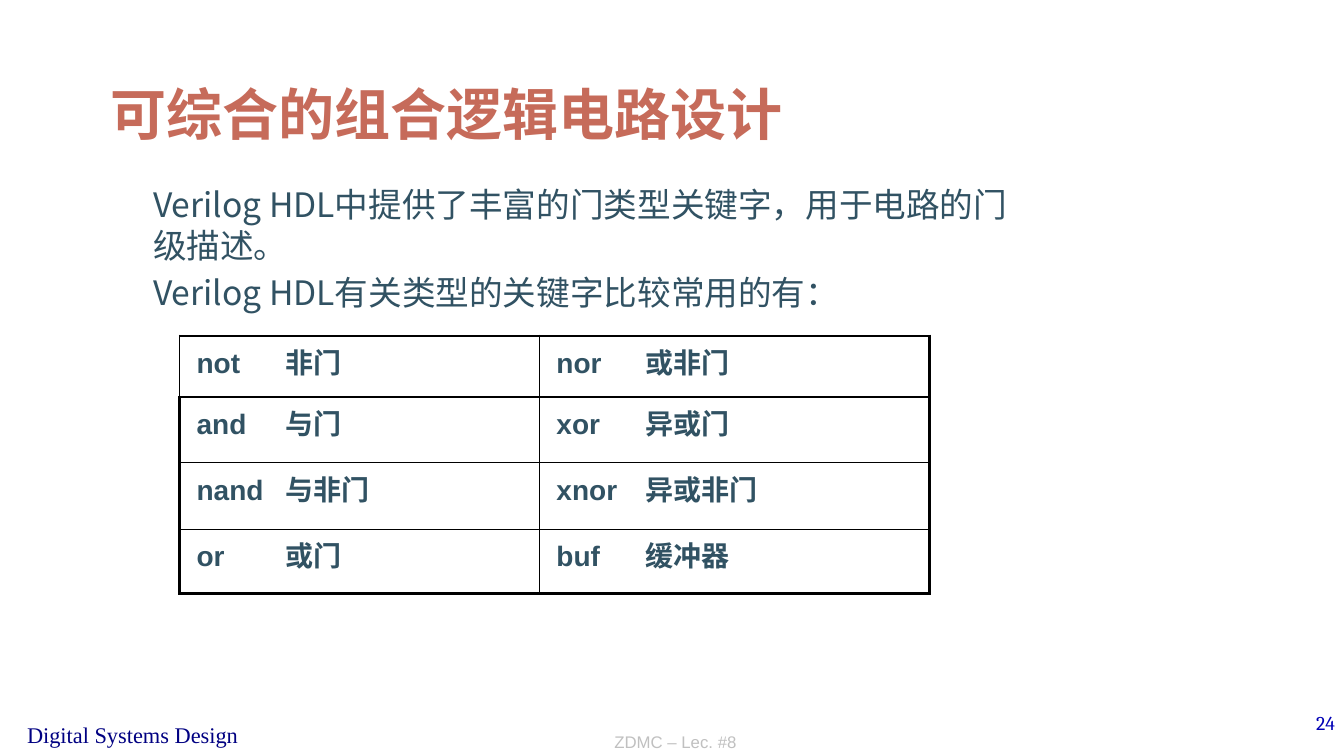
from dataclasses import dataclass

from lxml.etree import SubElement
from pptx import Presentation
from pptx.dml.color import RGBColor
from pptx.enum.text import MSO_ANCHOR, PP_ALIGN
from pptx.oxml import parse_xml
from pptx.oxml.ns import nsdecls, qn
from pptx.util import Inches, Pt

COLORS = {"title": "C66B5A", "body": "315263", "course": "000082",
          "number": "0000B6", "lecture": "C0C0C0", "border": "000000"}
CJK_FONT = "Noto Sans CJK SC"
THIN, MEDIUM, THICK = 1, 1.5, 2.25


@dataclass(frozen=True)
class Style:
    font: str
    size: float
    color: str
    bold: bool = False


@dataclass(frozen=True)
class TextBlock:
    left: float
    top: float
    width: float
    height: float
    lines: tuple[str, ...]
    style: Style
    align: PP_ALIGN = PP_ALIGN.LEFT
    anchor: MSO_ANCHOR = MSO_ANCHOR.TOP
    wrap: bool = True
    indent: float = 0
    space_before: float = 0


TITLE = Style(CJK_FONT, 40, "title", True)
BODY = Style(CJK_FONT, 24, "body")
GATE = Style("Arial", 20, "body", True)

BLOCKS = (
    TextBlock(0.17, 7.11, 2.33, 0.37, ("Digital Systems Design",),
              Style("Times New Roman", 16, "course"), wrap=False),
    TextBlock(10.56, 7, 2.78, 0.5, ("24",), Style("Cambria", 14, "number"),
              align=PP_ALIGN.RIGHT),
    TextBlock(3.45, 7, 6.5, 0.51, ("ZDMC – Lec. #8",),
              Style("Arial", 12, "lecture"),
              align=PP_ALIGN.CENTER, anchor=MSO_ANCHOR.BOTTOM),
    TextBlock(1, 0.25, 11.33, 1.25, ("可综合的组合逻辑电路设计",), TITLE,
              anchor=MSO_ANCHOR.BOTTOM),
    TextBlock(1.04, 1.78, 9.07, 4.95,
              ("Verilog HDL中提供了丰富的门类型关键字，用于电路的门级描述。",
               "Verilog HDL有关类型的关键字比较常用的有："),
              BODY, indent=0.38, space_before=5),
)

GATES = (
    (("not", "非门"), ("nor", "或非门")),
    (("and", "与门"), ("xor", "异或门")),
    (("nand", "与非门"), ("xnor", "异或非门")),
    (("or", "或门"), ("buf", "缓冲器")),
)
COLUMN_WIDTHS = (3.57, 3.87)
ROW_HEIGHTS = (0.61, 0.65, 0.66, 0.64)
NAME_TAB = 0.88


def format_runs(para, style: Style) -> None:
    for span in para.runs:
        span.font.name = style.font
        span.font.size = Pt(style.size)
        span.font.bold = style.bold
        span.font.color.rgb = RGBColor.from_string(COLORS[style.color])
        properties = span.font._element
        SubElement(properties, qn("a:ea"), typeface=CJK_FONT)


def add_text(page, block: TextBlock) -> None:
    box = page.shapes.add_textbox(Inches(block.left), Inches(block.top),
                                  Inches(block.width), Inches(block.height))
    frame = box.text_frame
    frame.word_wrap = block.wrap
    frame.vertical_anchor = block.anchor
    frame.text = "\n".join(block.lines)
    for para in frame.paragraphs:
        para.alignment = block.align
        para.space_before = Pt(block.space_before)
        if block.indent:
            properties = para._p.get_or_add_pPr()
            properties.set("marL", str(Inches(block.indent)))
            properties.set("indent", "0")
        format_runs(para, block.style)


def border_widths(row: int, column: int) -> dict[str, float]:
    """Thick outer edges, with medium lines around the first row."""
    last_row, last_column = len(GATES) - 1, len(COLUMN_WIDTHS) - 1
    return {"L": THICK if column == 0 and row > 0 else THIN,
            "R": THICK if column == last_column else THIN,
            "T": MEDIUM if row <= 1 else THIN,
            "B": THICK if row == last_row else MEDIUM if row == 0 else THIN}


def set_borders(cell, widths: dict[str, float]) -> None:
    properties = cell._tc.get_or_add_tcPr()
    for index, (side, width) in enumerate(widths.items()):
        properties.insert(index, parse_xml(
            f'<a:ln{side} {nsdecls("a")} w="{Pt(width)}"><a:solidFill>'
            f'<a:srgbClr val="{COLORS["border"]}"/></a:solidFill></a:ln{side}>'))


def fill_cell(cell, keyword: str, name: str) -> None:
    cell.fill.background()
    cell.margin_left = Inches(0.17)
    para = cell.text_frame.paragraphs[0]
    para.text = f"{keyword}\t{name}"
    para.space_before = Pt(4)
    tabs = SubElement(para._p.get_or_add_pPr(), qn("a:tabLst"))
    SubElement(tabs, qn("a:tab"), pos=str(Inches(NAME_TAB)), algn="l")
    format_runs(para, GATE)


def add_gate_table(page) -> None:
    table = page.shapes.add_table(
        len(GATES), len(COLUMN_WIDTHS), Inches(1.78), Inches(3.33),
        Inches(sum(COLUMN_WIDTHS)), Inches(sum(ROW_HEIGHTS))).table
    table.first_row = False
    table.horz_banding = False
    for column, width in zip(table.columns, COLUMN_WIDTHS):
        column.width = Inches(width)
    for row, height in zip(table.rows, ROW_HEIGHTS):
        row.height = Inches(height)
    for r, gates in enumerate(GATES):
        for c, (keyword, name) in enumerate(gates):
            cell = table.cell(r, c)
            fill_cell(cell, keyword, name)
            set_borders(cell, border_widths(r, c))


def main() -> None:
    deck = Presentation()
    deck.slide_width, deck.slide_height = Inches(13.33), Inches(7.5)
    page = deck.slides.add_slide(deck.slide_layouts[6])
    for block in BLOCKS:
        add_text(page, block)
    add_gate_table(page)
    deck.save("out.pptx")


if __name__ == "__main__":
    main()
